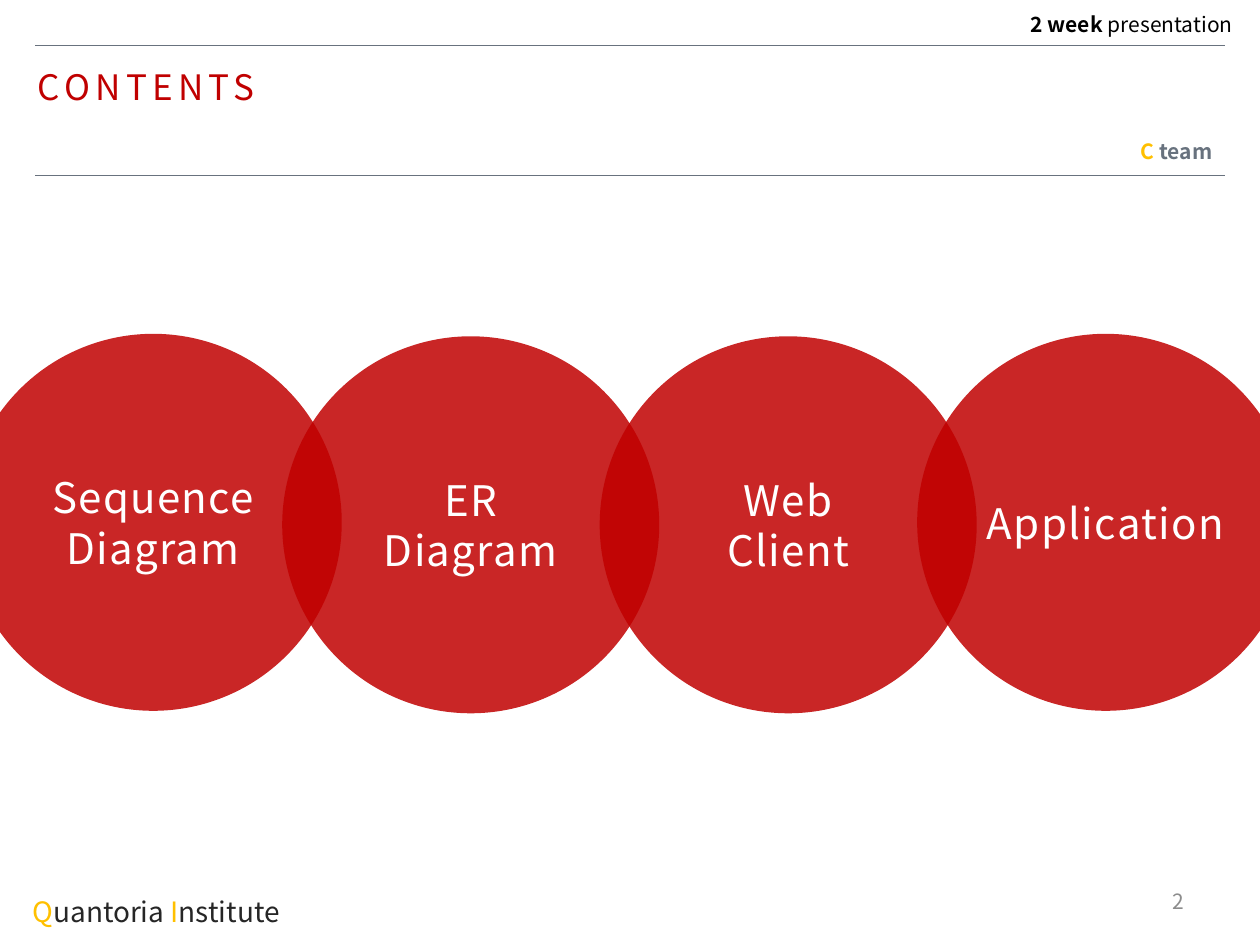
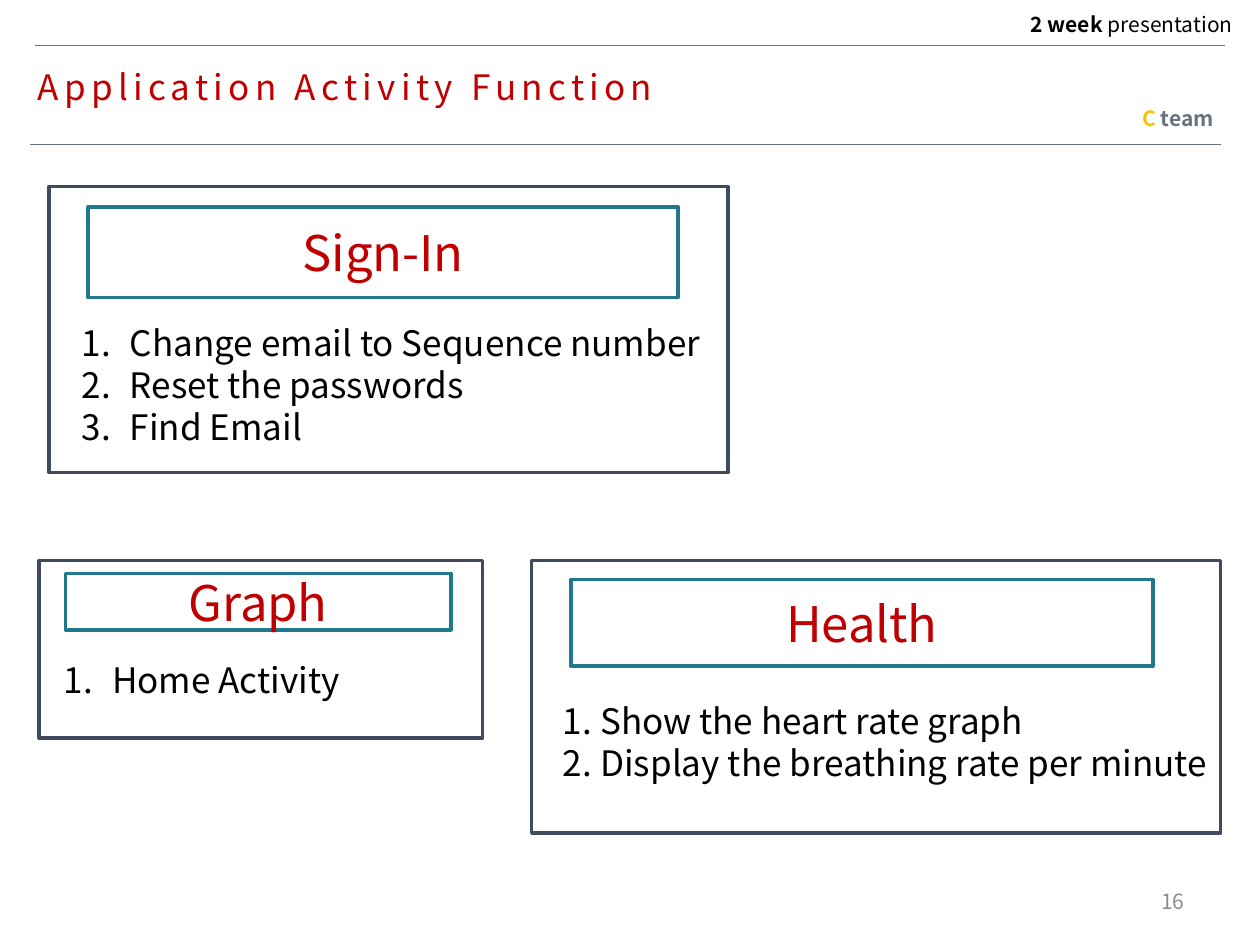
from lxml.etree import SubElement
from pptx import Presentation
from pptx.dml.color import RGBColor
from pptx.enum.shapes import MSO_CONNECTOR, MSO_SHAPE
from pptx.enum.text import MSO_ANCHOR, PP_ALIGN
from pptx.oxml.ns import qn
from pptx.util import Cm, Pt

FONT = "Noto Sans CJK KR"
RED = RGBColor(0xC0, 0x00, 0x00)
AMBER = RGBColor(0xFF, 0xC0, 0x00)
SLATE = RGBColor(0x68, 0x72, 0x7E)
NAVY = RGBColor(0x40, 0x4C, 0x5E)
TEAL = RGBColor(0x21, 0x78, 0x8D)
CHARCOAL = RGBColor(0x26, 0x26, 0x26)
GRAY = RGBColor(0x8C, 0x8C, 0x8C)
BLACK = RGBColor(0x00, 0x00, 0x00)
WHITE = RGBColor(0xFF, 0xFF, 0xFF)


def write_text(shape, *lines, size, color=BLACK, bold=False, align=PP_ALIGN.LEFT,
               anchor=MSO_ANCHOR.TOP, line_spacing=None, tracking=0, number_indent=0):
    """Fill a shape; a line is a string or a list of (text, color, bold) spans."""
    frame = shape.text_frame
    frame.word_wrap = True
    frame.vertical_anchor = anchor
    for index, line in enumerate(lines):
        para = frame.paragraphs[0] if index == 0 else frame.add_paragraph()
        para.alignment = align
        if line_spacing:
            para.line_spacing = line_spacing
        if number_indent:
            number_paragraph(para, Cm(number_indent))
        spans = [(line, color, bold)] if isinstance(line, str) else line
        for text, span_color, span_bold in spans:
            span = para.add_run()
            span.text = text
            span.font.name = FONT
            span.font.size = Pt(size)
            span.font.bold = span_bold
            span.font.color.rgb = span_color
            if tracking:
                span.font._element.set("spc", str(round(tracking * 100)))


def number_paragraph(para, indent):
    properties = para._p.get_or_add_pPr()
    properties.set("marL", str(indent))
    properties.set("indent", str(-indent))
    SubElement(properties, qn("a:buFont"), typeface="+mj-lt")
    SubElement(properties, qn("a:buAutoNum"), type="arabicPeriod")


def add_text(shapes, bounds, *lines, **text_format):
    box = shapes.add_textbox(*map(Cm, bounds))
    write_text(box, *lines, **text_format)


def add_rule(page, left, right, top):
    rule = page.shapes.add_connector(MSO_CONNECTOR.STRAIGHT, Cm(left), Cm(top), Cm(right), Cm(top))
    rule.line.color.rgb = SLATE
    rule.line.width = Pt(0.25)
    SubElement(rule._element.spPr, qn("a:effectLst"))


def add_outline(shapes, bounds, color):
    outline = shapes.add_shape(MSO_SHAPE.RECTANGLE, *map(Cm, bounds))
    outline.shadow.inherit = False
    outline.fill.background()
    outline.line.color.rgb = color
    outline.line.width = Pt(2)
    return outline


def add_topic_circle(page, left, top, *lines):
    circle = page.shapes.add_shape(MSO_SHAPE.OVAL, Cm(left), Cm(top), Cm(7.6), Cm(7.6))
    circle.shadow.inherit = False
    circle.line.fill.background()
    circle.fill.solid()
    circle.fill.fore_color.rgb = RED
    color_element = circle._element.spPr.find(qn("a:solidFill"))[0]
    SubElement(color_element, qn("a:alpha"), val="85000")
    write_text(circle, *lines, size=24, color=WHITE, align=PP_ALIGN.CENTER,
               anchor=MSO_ANCHOR.MIDDLE, tracking=0.8)


def add_function_card(page, heading, items, frame, heading_bounds, list_bounds, number_indent=0.97):
    shapes = page.shapes.add_group_shape().shapes
    add_outline(shapes, frame, NAVY)
    write_text(add_outline(shapes, heading_bounds, TEAL), heading, size=28, color=RED,
               align=PP_ALIGN.CENTER, anchor=MSO_ANCHOR.MIDDLE)
    add_text(shapes, list_bounds, *items, size=20, number_indent=number_indent)


def add_page(deck, title, number, title_width, lower_rule, team_position):
    """Add a blank page with the shared header, title and page number."""
    page = deck.slides.add_slide(deck.slide_layouts[6])
    header = dict(size=12, align=PP_ALIGN.RIGHT, line_spacing=0.8)
    add_text(page.shapes, (19.89, 0.2, 5.21, 0.66),
             [("2 week ", BLACK, True), ("presentation", BLACK, False)], **header)
    add_rule(page, 0.71, 24.69, 0.91)
    add_rule(page, *lower_rule)
    add_text(page.shapes, (0.51, 1.3, title_width, 1.02), title,
             size=20, color=RED, line_spacing=0.9, tracking=3)
    add_text(page.shapes, (*team_position, 5.21, 0.66),
             [("C", AMBER, True), (" team", SLATE, True)], **header)
    add_text(page.shapes, (18.21, 17.65, 5.92, 1.02), str(number), size=12, color=GRAY,
             align=PP_ALIGN.RIGHT, anchor=MSO_ANCHOR.MIDDLE)
    return page


def build_contents(deck):
    page = add_page(deck, "CONTENTS", 2, title_width=6.2,
                    lower_rule=(0.71, 24.69, 3.53), team_position=(19.48, 2.77))
    topics = [("Sequence", "Diagram"), ("ER", "Diagram"), ("Web", "Client"), ("Application",)]
    for index, lines in enumerate(topics):
        top = 6.78 if index in (1, 2) else 6.73
        add_topic_circle(page, -0.71 + 6.4 * index, top, *lines)
    add_text(page.shapes, (0.41, 17.58, 11.23, 1.17),
             [("Q", AMBER, False), ("uantoria ", CHARCOAL, False),
              ("I", AMBER, False), ("nstitute", CHARCOAL, False)],
             size=16, line_spacing=1.5)


def build_activity_functions(deck):
    page = add_page(deck, "Application Activity Function", 16, title_width=13.8,
                    lower_rule=(0.61, 24.61, 2.9), team_position=(19.51, 2.11))
    add_function_card(
        page, "Sign-In",
        ["Change email to Sequence number", "Reset the passwords", "Find Email"],
        frame=(0.99, 3.76, 13.69, 5.77),
        heading_bounds=(1.78, 4.17, 11.89, 1.83),
        list_bounds=(1.4, 6.35, 13.11, 3.68))
    add_function_card(
        page, "Graph", ["Home Activity"],
        frame=(0.79, 11.3, 8.94, 3.58),
        heading_bounds=(1.32, 11.56, 7.77, 1.14),
        list_bounds=(1.04, 13.16, 8.53, 1.22))
    add_function_card(
        page, "Health",
        ["Show the heart rate graph", "Display the breathing rate per minute"],
        frame=(10.72, 11.3, 13.89, 5.49),
        heading_bounds=(11.51, 11.68, 11.73, 1.75),
        list_bounds=(11.1, 13.97, 14.3, 2.82),
        number_indent=0.75)


def main():
    deck = Presentation()
    deck.slide_width = Cm(25.4)
    deck.slide_height = Cm(19.05)
    build_contents(deck)
    build_activity_functions(deck)
    deck.save("out.pptx")


if __name__ == "__main__":
    main()
